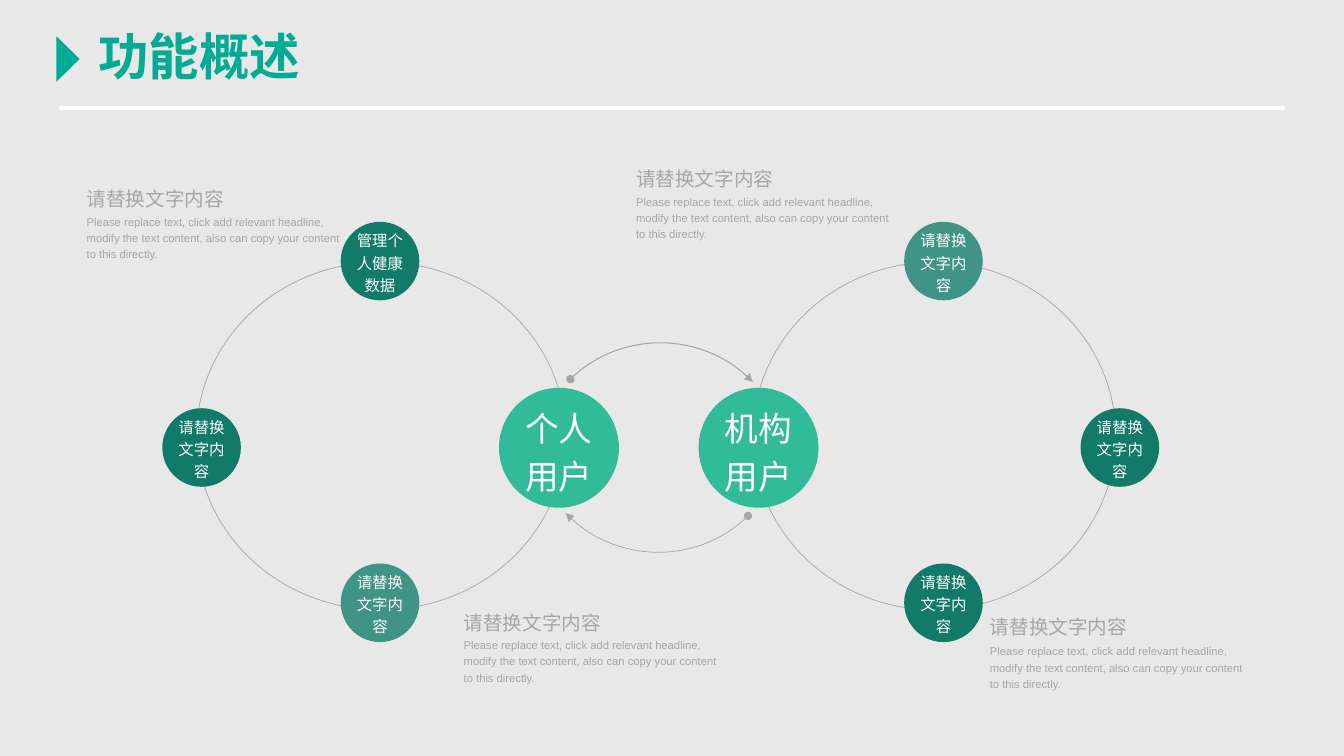
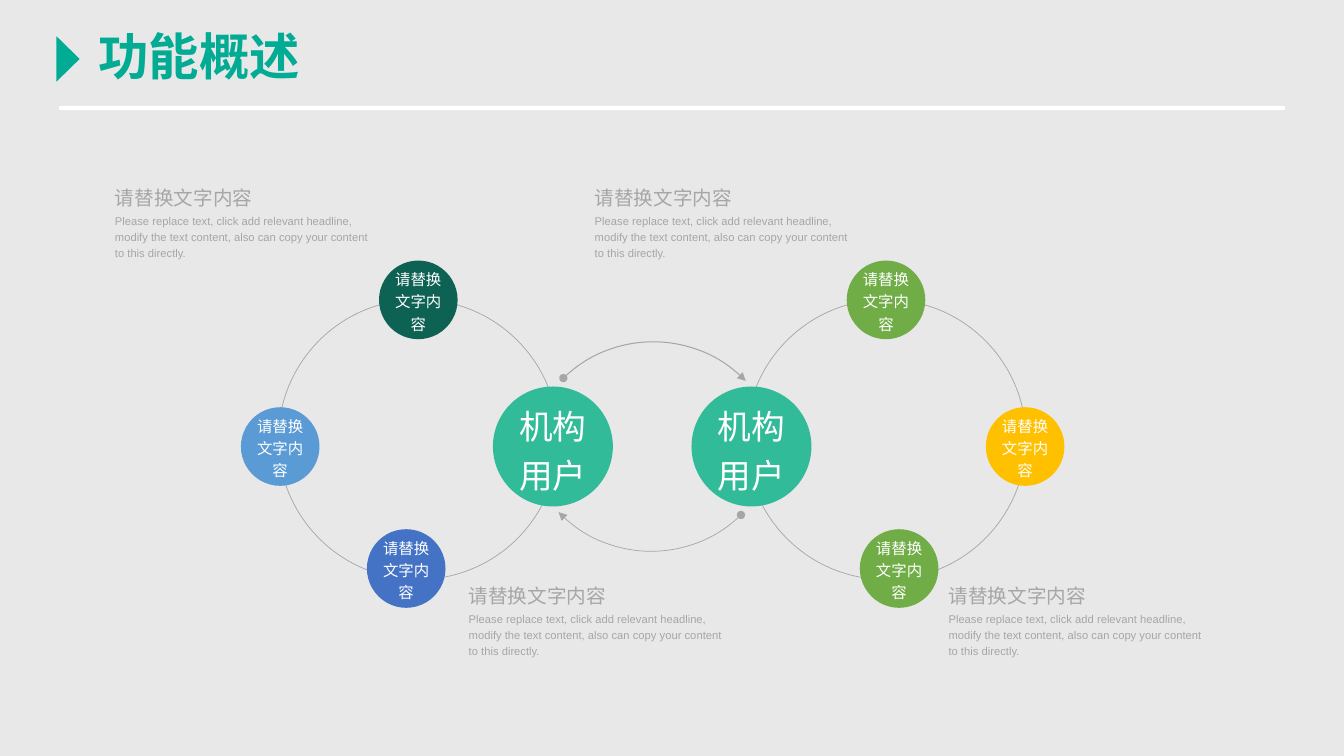
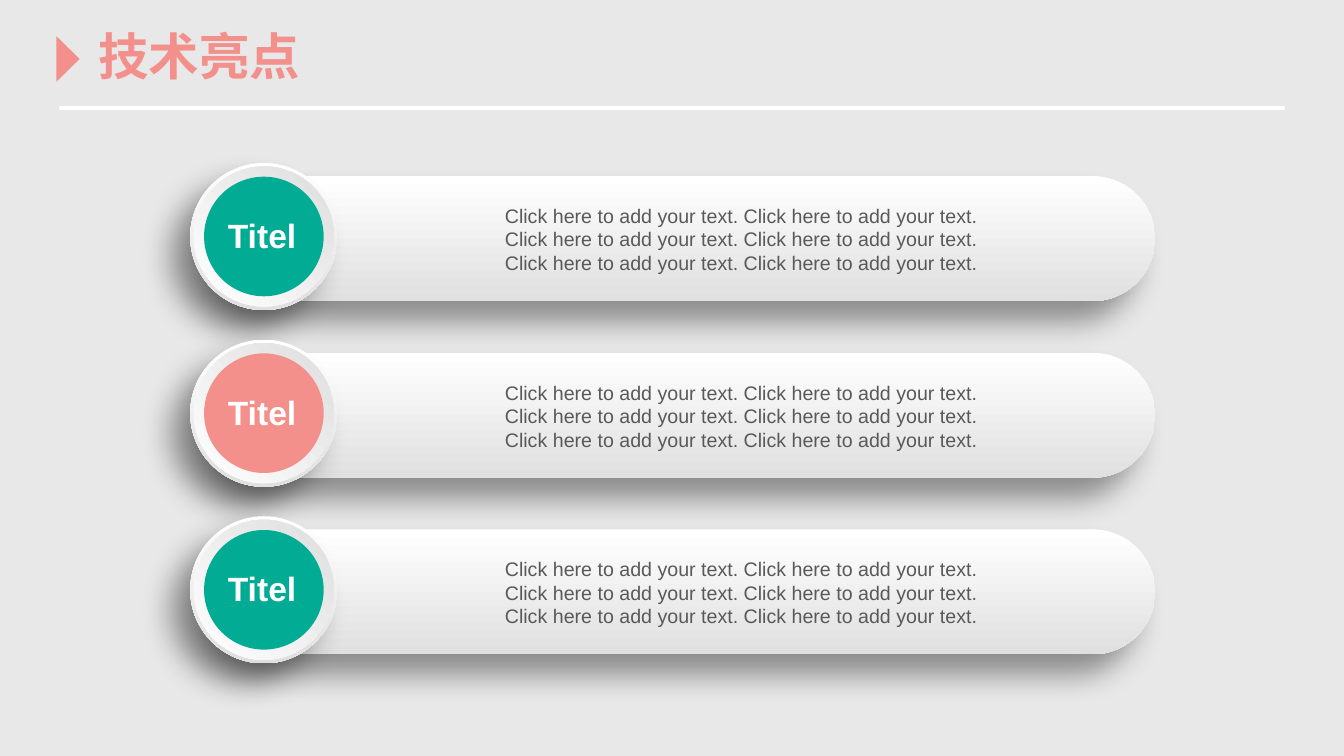
import pptx
import pptx.util
import pptx.dml.color
import pptx.enum.shapes
import pptx.enum.text
import pptx.oxml
import pptx.oxml.ns


class Theme:
    font = "Arial"
    back, white, grey, dark = "E8E8E8", "FFFFFF", "A6A6A6", "595959"
    teal, coral, mint = "01AB94", "F3908C", "32BB99"
    pine, sage, forest = "117A68", "409486", "0E6254"
    sky, blue, amber, green = "5B9BD5", "4472C4", "FFC000", "70AD47"
    silver, ash = "E0E0E0", "DDDEDD"
    title, hub, heading, node, body = 36, 24, 14, 11, 8


MSO = pptx.enum.shapes.MSO_SHAPE
ALIGN = pptx.enum.text.PP_ALIGN
FIT = pptx.enum.text.MSO_AUTO_SIZE.SHAPE_TO_FIT_TEXT
RGB = pptx.dml.color.RGBColor.from_string
qn = pptx.oxml.ns.qn
NS = pptx.oxml.ns.nsdecls("a")

prs = pptx.Presentation()
prs.slide_width = pptx.util.Inches(13.333)
prs.slide_height = pptx.util.Inches(7.5)
COL = prs.slide_width / 160   # grid of 160 columns by 90 rows
ROW = prs.slide_height / 90


def draw(s, kind, x, y, w, h, fill=None, line=None):
    """Add a shape, or a text box if kind is None; a pair of fills is a gradient."""
    box = int(x * COL), int(y * ROW), int(w * COL), int(h * ROW)
    if kind is None:
        return s.shapes.add_textbox(*box)
    sp = s.shapes.add_shape(kind, *box)
    sp.shadow.inherit = False
    if isinstance(fill, tuple):
        sp.fill.gradient()
        for stop, color in zip(sp.fill.gradient_stops, fill):
            stop.color.rgb = RGB(color)
        sp.fill.gradient_angle = 270
    elif fill:
        sp.fill.solid()
        sp.fill.fore_color.rgb = RGB(fill)
    else:
        sp.fill.background()
    if line:
        sp.line.color.rgb = RGB(Theme.grey)
        sp.line.width = pptx.util.Pt(line)
    else:
        sp.line.fill.background()
    return sp


def write(sp, lines, size, color, align=ALIGN.LEFT, bold=False, tight=False, wrap=True):
    """Fill a shape with paragraphs; tight means no insets and 1.2 line spacing."""
    tf = sp.text_frame
    tf.word_wrap = wrap
    if tight:
        tf.margin_left = tf.margin_right = tf.margin_top = tf.margin_bottom = 0
    tf.text = "\n".join(lines)
    for p in tf.paragraphs:
        p.alignment = align
        p.font.name = Theme.font
        p.font.size = pptx.util.Pt(size)
        p.font.bold = bold
        p.font.color.rgb = RGB(color)
        if tight:
            p.line_spacing = 1.2


# Shared background, rule and title
fill = prs.slide_master.background.fill
fill.solid()
fill.fore_color.rgb = RGB(Theme.back)

slides = []
for title, color in [("功能概述", Theme.teal), ("功能概述", Theme.teal), ("技术亮点", Theme.coral)]:
    s = prs.slides.add_slide(prs.slide_layouts[6])
    slides.append(s)
    rule = draw(s, MSO.ROUNDED_RECTANGLE, 7, 12.6, 146, 0.5, Theme.white)
    rule.adjustments[0] = 0.5
    sp = draw(s, None, 10.56, 2.4, 26.4, 8.52)
    write(sp, [title], Theme.title, color, bold=True, wrap=False)
    sp.text_frame.auto_size = FIT
    draw(s, MSO.ISOSCELES_TRIANGLE, 5.4, 5.64, 5.4, 2.76, color).rotation = 90

# Slides 1 and 2: two orbits; discs and orbits are placed by their centres
PROMPT = "请替换文字内容"
DETAIL = ("Please replace text, click add relevant headline, modify the text content, "
          "also can copy your content to this directly.")
HUB, NODE, ARC = 14.28, 9.36, 30.72
cycles = [
    dict(orbits=[(45.36, 51.9, 43.92, 41.4), (111.24, 51.9, 43.2, 41.4)],
         hubs=[(66.54, 53.3, "个人用户"), (90.3, 53.3, "机构用户")],
         nodes=[(24, 53.28, Theme.pine, PROMPT),
                (45.24, 31.08, Theme.pine, "管理个人健康数据"),
                (45.24, 71.76, Theme.sage, PROMPT),
                (133.32, 53.28, Theme.pine, PROMPT),
                (112.32, 31.08, Theme.sage, PROMPT),
                (112.32, 71.76, Theme.pine, PROMPT)],
         arcs=[(78.6, 56.16), (78.36, 50.4)],
         captions=[(55.2, 72.12, 75.72), (117.84, 72.6, 76.44),
                   (10.32, 21.72, 25.32), (75.72, 19.32, 22.92)]),
    dict(orbits=[(49.8, 52.32, 33.36, 33.36), (105.48, 52.32, 33.36, 33.36)],
         hubs=[(65.82, 53.15, "机构用户"), (89.46, 53.15, "机构用户")],
         nodes=[(33.36, 53.16, Theme.sky, PROMPT),
                (49.8, 35.7, Theme.forest, PROMPT),
                (48.36, 67.68, Theme.blue, PROMPT),
                (122.04, 53.16, Theme.amber, PROMPT),
                (105.48, 35.7, Theme.green, PROMPT),
                (107.04, 67.68, Theme.green, PROMPT)],
         arcs=[(77.76, 56.04), (77.52, 50.28)],
         captions=[(55.8, 69, 72.6), (112.92, 69, 72.6),
                   (13.68, 21.6, 25.2), (70.8, 21.6, 25.2)]),
]

for s, cycle in zip(slides, cycles):
    for x, y, w, h in cycle["orbits"]:
        draw(s, MSO.OVAL, x - w / 2, y - h / 2, w, h, line=0.5)

    discs = [(x, y, Theme.mint, text, HUB, Theme.hub) for x, y, text in cycle["hubs"]]
    discs += [node + (NODE, Theme.node) for node in cycle["nodes"]]
    for x, y, color, text, d, size in discs:
        sp = draw(s, MSO.OVAL, x - d / 2, y - d / 2, d, d, color)
        write(sp, [text], size, Theme.white, ALIGN.CENTER, tight=True)

    # Quarter-circle arrows between the hubs
    for (x, y), angle, width in zip(cycle["arcs"], (315.9, 135.9), (0.75, 0.5)):
        sp = draw(s, MSO.ARC, x - ARC / 2, y - ARC / 2, ARC, ARC, line=width)
        sp.rotation = angle
        ln = sp.element.spPr.find(qn("a:ln"))
        for end, head in [("headEnd", "oval"), ("tailEnd", "triangle")]:
            ln.append(pptx.oxml.parse_xml(f'<a:{end} {NS} type="{head}"/>'))

    for x, heading_y, body_y in cycle["captions"]:
        sp = draw(s, None, x, body_y, 30.96, 5.76)
        write(sp, [DETAIL], Theme.body, Theme.grey, tight=True)
        sp = draw(s, None, x, heading_y, 16.44, 3.36)
        write(sp, [PROMPT], Theme.heading, Theme.grey, tight=True, wrap=False)
        sp.text_frame.auto_size = FIT

# Slide 3: three raised bars, each with a round badge
s = slides[2]
PITCH = 21.03
SHADOW = (f'<a:outerShdw {NS} blurRad="{pptx.util.Pt(22)}" dist="{pptx.util.Pt(20)}" '
          'dir="8100000" algn="ctr" rotWithShape="0">'
          '<a:srgbClr val="000000"><a:alpha val="40000"/></a:srgbClr></a:outerShdw>')
raised = (Theme.white, Theme.silver)
for i, color in enumerate([Theme.teal, Theme.coral, Theme.teal]):
    y = 19.4 + i * PITCH
    bar = draw(s, MSO.ROUNDED_RECTANGLE, 26.4, y + 1.56, 111.12, 14.88, raised)
    bar.adjustments[0] = 0.5
    ring = draw(s, MSO.OVAL, 22.65, y, 17.52, 17.52, raised)
    for sp in (bar, ring):
        effects = sp.element.spPr.find(qn("a:effectLst"))
        effects.append(pptx.oxml.parse_xml(SHADOW))
    rim = draw(s, MSO.OVAL, 23.07, y + 0.42, 16.68, 16.68, (Theme.white, Theme.ash))
    rim.fill.gradient_angle = 45
    draw(s, MSO.OVAL, 24.3, y + 1.64, 14.24, 14.24, color)
    sp = draw(s, None, 25.44, y + 5.6, 11.52, 6)
    write(sp, ["Titel"], Theme.hub, Theme.white, ALIGN.CENTER, bold=True)
    sp = draw(s, None, 53.76, y + 4.27, 69, 9.72)
    write(sp, ["Click here to add your text. Click here to add your text."] * 3,
          Theme.heading, Theme.dark, ALIGN.CENTER)

prs.save("out.pptx")
